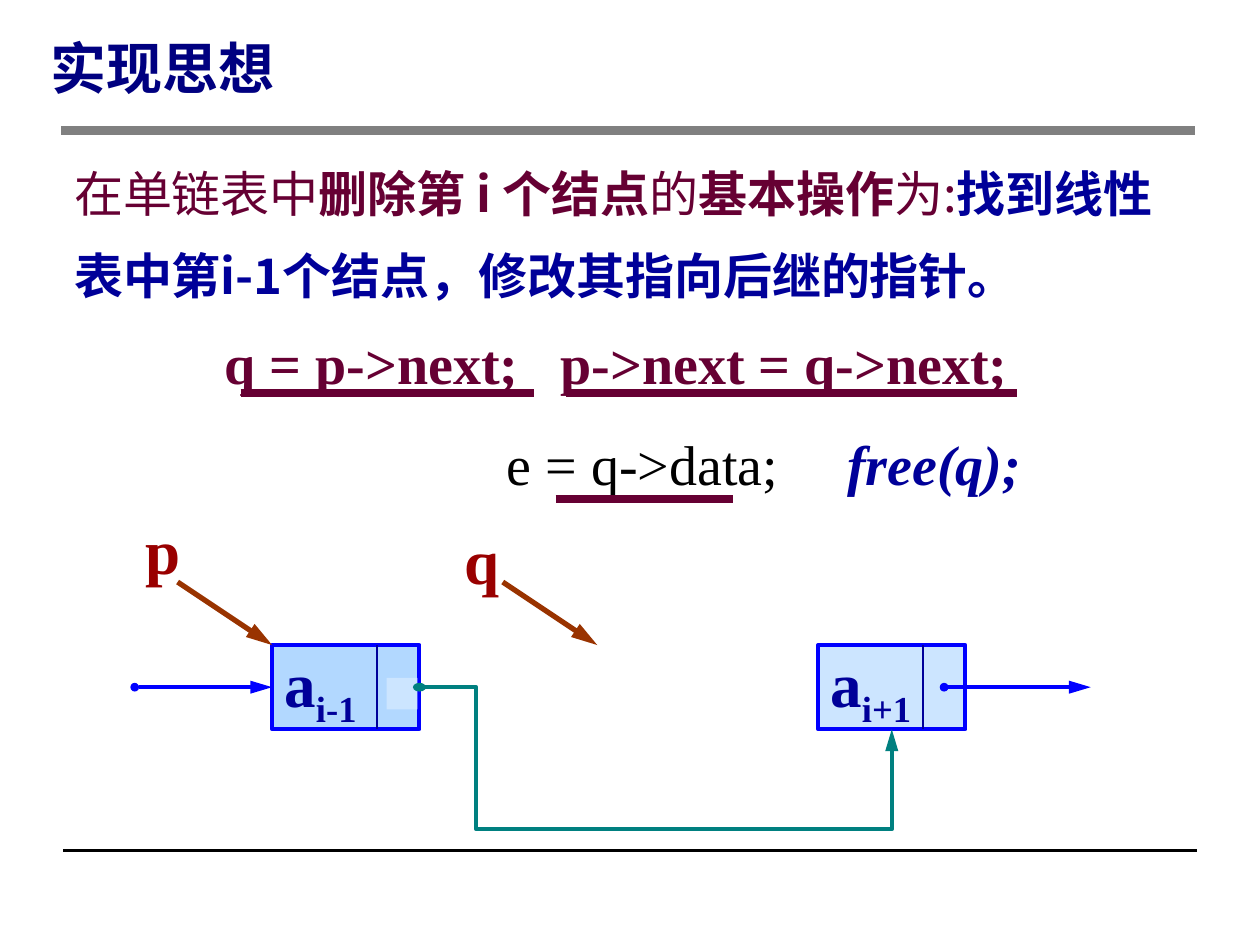
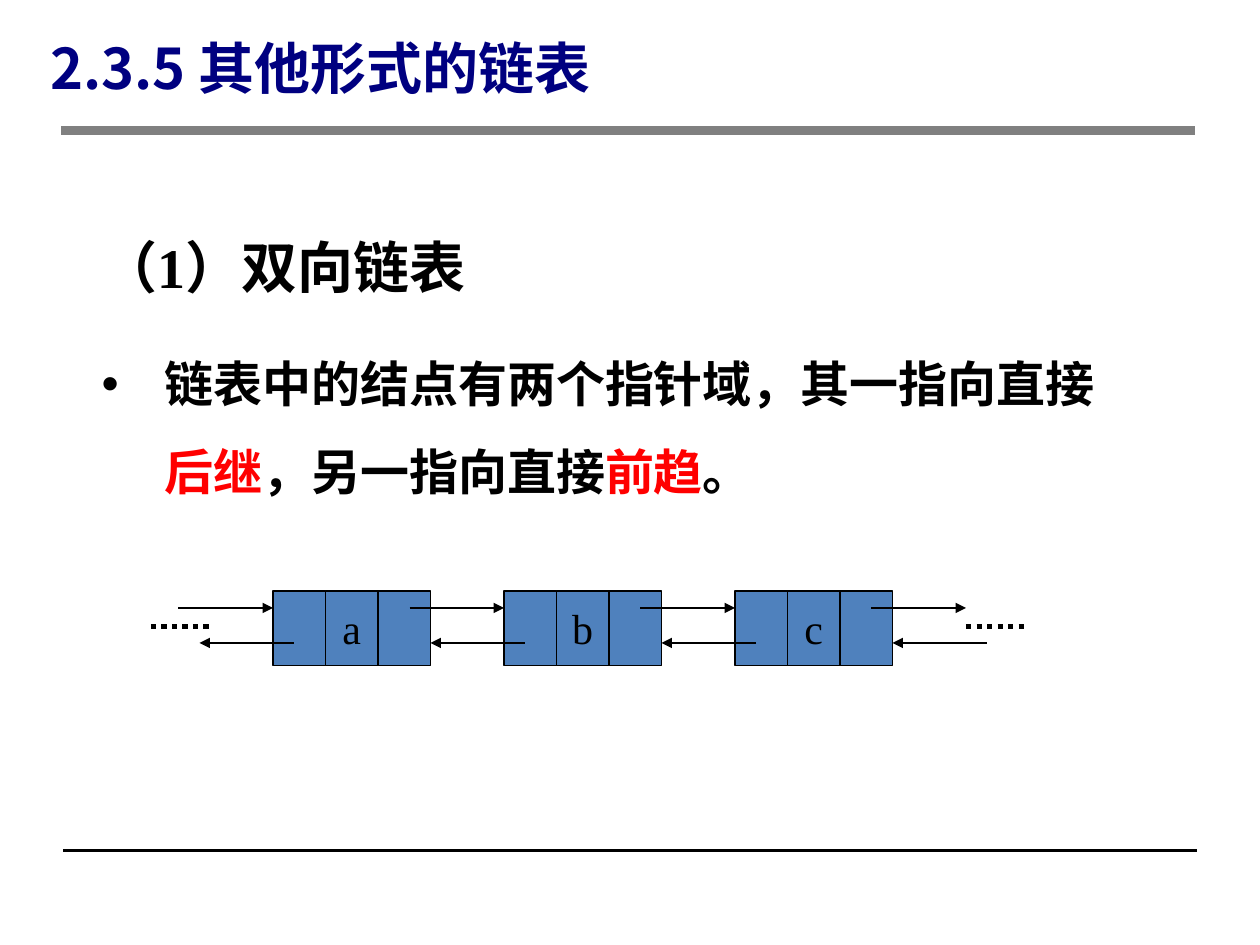
import dataclasses

import pptx
import pptx.dml.color
import pptx.enum.dml
import pptx.enum.shapes
import pptx.enum.text
import pptx.oxml.ns
import pptx.util
from lxml import etree

Pt = pptx.util.Pt
ALIGN = pptx.enum.text.PP_ALIGN
ANCHOR = pptx.enum.text.MSO_ANCHOR
qn = pptx.oxml.ns.qn


@dataclasses.dataclass(frozen=True)
class Theme:
    sans: str = "Noto Sans CJK SC"
    serif: str = "Times New Roman"
    title: str = "000080"
    rule: str = "808080"
    black: str = "000000"
    wine: str = "660033"
    navy: str = "000099"
    red: str = "FF0000"
    pointer: str = "990000"
    pointer_arrow: str = "993300"
    link: str = "0000FF"
    new_link: str = "008080"
    node: str = "B2D8FF"
    node_pale: str = "CCE5FF"
    cell: str = "4F81BD"
    body_size: int = 28
    head_size: int = 32
    node_size: int = 36
    cell_size: int = 24


T = Theme()

# Text: each paragraph is a list of (words, changes to the base style)
DELETE_TITLE = "实现思想"
DELETE_IDEA = [
    ("在单链表中", {}),
    ("删除第 i 个结点", {"bold": True}),
    ("的", {}),
    ("基本操作", {"bold": True}),
    ("为:", {}),
    ("找到线性表中第i-1个结点，修改其指向后继的指针。", {"bold": True, "color": T.navy}),
]
RELINK_CODE = [("q = p->next;\tp->next = q->next;", {"bold": True, "color": T.wine})]
FREE_CODE = [
    ("\te = q->data;\t", {}),
    ("free(q);", {"bold": True, "italic": True, "color": T.navy}),
]
CODE_TABS = ([192], [161.3, 355.8])
CODE_UNDERLINES = [(137.5, 305.3, 224.8), (323.3, 581, 224.8), (317.5, 419, 285)]
POINTERS = [("p", 76.3, 288.7, 101.5), ("q", 258.5, 294.5, 287.3)]
LIST_NODES = [("i-1", 155.5, T.node), ("i+1", 467.5, T.node_pale)]

DOUBLE_TITLE = "2.3.5 其他形式的链表"
DOUBLE_HEADING = [("（1）双向链表", {"size": T.head_size})]
DOUBLE_POINT = [
    ("链表中的结点有两个指针域，其一指向直接", {}),
    ("后继", {"color": T.red}),
    ("，另一指向直接", {}),
    ("前趋", {"color": T.red}),
    ("。", {}),
]
DOUBLE_NODES = ["a", "b", "c"]


def rgb(value):
    return pptx.dml.color.RGBColor.from_string(value)


def add_runs(paragraph, runs, **base):
    for words, changes in runs:
        style = {**base, **changes}
        run = paragraph.add_run()
        run.text = words
        font = run.font
        font.size = Pt(style["size"])
        font.bold = style.get("bold", False)
        font.italic = style.get("italic", False)
        font.color.rgb = rgb(style["color"])
        font.name = style.get("face", T.serif)
        props = run._r.get_or_add_rPr()
        etree.SubElement(props, qn("a:ea"), typeface=T.sans)
        if "baseline" in style:
            props.set("baseline", str(style["baseline"]))


def add_text(slide, left, top, width, height, anchor=ANCHOR.TOP):
    frame = slide.shapes.add_textbox(Pt(left), Pt(top), Pt(width), Pt(height)).text_frame
    frame.word_wrap = True
    frame.vertical_anchor = anchor
    return frame


def line_pitch(size, factor):
    return Pt(round(size * 1.2 * factor, 1))


def add_tabs(paragraph, stops):
    tabs = etree.SubElement(paragraph._p.get_or_add_pPr(), qn("a:tabLst"))
    for stop in stops:
        etree.SubElement(tabs, qn("a:tab"), pos=str(Pt(stop)), algn="l")


def add_bullet(paragraph, hang):
    props = paragraph._p.get_or_add_pPr()
    props.set("marL", str(Pt(hang)))
    props.set("indent", str(-Pt(hang)))
    etree.SubElement(props, qn("a:buFont"), typeface="Arial")
    etree.SubElement(props, qn("a:buChar"), char="•")


def add_box(slide, left, top, width, height, fill, outline=None, weight=0.75):
    box = slide.shapes.add_shape(
        pptx.enum.shapes.MSO_SHAPE.RECTANGLE, Pt(left), Pt(top), Pt(width), Pt(height)
    )
    box.shadow.inherit = False
    box.fill.solid()
    box.fill.fore_color.rgb = rgb(fill)
    if outline:
        box.line.color.rgb = rgb(outline)
        box.line.width = Pt(weight)
    else:
        box.line.fill.background()
    box.text_frame.vertical_anchor = ANCHOR.MIDDLE
    return box


def add_line(slide, start, end, color, weight, head=None, tail=None, dash=None, elbow=False):
    """Draw a line; head and tail are (type, width, length) of the line ends."""
    kinds = pptx.enum.shapes.MSO_CONNECTOR
    line = slide.shapes.add_connector(
        kinds.ELBOW if elbow else kinds.STRAIGHT, *map(Pt, start), *map(Pt, end)
    )
    line.line.color.rgb = rgb(color)
    line.line.width = Pt(weight)
    if dash:
        line.line.dash_style = dash
    outline = line.line._get_or_add_ln()
    for tag, mark in (("a:headEnd", head), ("a:tailEnd", tail)):
        if mark:
            etree.SubElement(outline, qn(tag), type=mark[0], w=mark[1], len=mark[2])
    etree.SubElement(line._element.spPr, qn("a:effectLst"))
    return line


LONG_ARROW = ("triangle", "med", "lg")
ARROW = ("triangle", "med", "med")
DOT = ("oval", "sm", "sm")
WIDE_DOT = ("oval", "sm", "med")


def add_frame(deck, title):
    """Add a slide with the shared rules and title."""
    slide = deck.slides.add_slide(deck.slide_layouts[6])
    add_line(slide, (36, 486), (684, 486), T.black, 2)
    add_line(slide, (35, 74.8), (683, 74.8), T.rule, 5)
    heading = add_text(slide, 21.6, 13, 612, 49, ANCHOR.MIDDLE).paragraphs[0]
    heading.line_spacing = Pt(40)
    add_runs(heading, [(title, {})], size=T.head_size, bold=True, color=T.title, face=T.sans)
    return slide


def add_link(slide, start_x, end_x, y):
    add_line(slide, (start_x, y), (end_x, y), T.link, 2.5, DOT, LONG_ARROW)


def bend(connector, start, end, bend_x, bend_y):
    """Route the connector right to bend_x, along bend_y, then into its end."""
    geometry = connector._element.spPr.find(qn("a:prstGeom"))
    geometry.set("prst", "bentConnector4")
    guides = geometry.get_or_add_avLst()
    ratios = ((bend_x - start[0]) / (end[0] - start[0]), (bend_y - start[1]) / (end[1] - start[1]))
    for number, ratio in enumerate(ratios, 1):
        etree.SubElement(
            guides, qn("a:gd"), name=f"adj{number}", fmla=f"val {round(ratio * 100000)}"
        )


def build_delete(deck):
    slide = add_frame(deck, DELETE_TITLE)
    idea = add_text(slide, 35.3, 76.3, 649.4, 102).paragraphs[0]
    idea.line_spacing = line_pitch(T.body_size, 1.4)
    add_runs(idea, DELETE_IDEA, size=T.body_size, color=T.wine, face=T.sans)

    top, width, height, data_width = 368.6, 84.2, 48.2, 60
    middle = top + height / 2
    nodes = []
    for subscript, left, fill in LIST_NODES:
        node = add_box(slide, left, top, width, height, fill, T.link, 2.25)
        node.text_frame.word_wrap = True
        label = node.text_frame.paragraphs[0]
        label.alignment = ALIGN.LEFT
        add_runs(label, [("a", {}), (subscript, {"baseline": -25000})],
                 size=T.node_size, bold=True, color=T.navy)
        divider = left + data_width
        add_line(slide, (divider, top), (divider, top + height), T.navy, 0.75)
        nodes.append(node)
    before, after = (left for _, left, _ in LIST_NODES)
    add_box(slide, 221, 387.4, 17.5, 18, T.node_pale)
    add_link(slide, 77, before, middle)
    add_link(slide, after + 72, 623.3, middle)

    start, end = (before + width, middle), (after + width / 2, top + height)
    bypass = add_line(slide, start, end, T.new_link, 2.5, WIDE_DOT, LONG_ARROW, elbow=True)
    bypass.begin_connect(nodes[0], 3)
    bypass.end_connect(nodes[1], 2)
    bend(bypass, start, end, 272.2, 473.8)

    code = add_text(slide, 121.2, 164.9, 478, 122.4)
    for row, (statements, stops) in enumerate(zip((RELINK_CODE, FREE_CODE), CODE_TABS)):
        paragraph = code.add_paragraph() if row else code.paragraphs[0]
        paragraph.line_spacing = line_pitch(T.head_size, 1.5)
        add_tabs(paragraph, stops)
        add_runs(paragraph, statements, size=T.head_size, color=T.black)
    for left, right, y in CODE_UNDERLINES:
        add_line(slide, (left, y), (right, y), T.wine, 4.5)

    for name, left, label_top, arrow_x in POINTERS:
        add_line(slide, (arrow_x, 332.6), (arrow_x + 54, top), T.pointer_arrow, 3, tail=LONG_ARROW)
        label = add_text(slide, left, label_top, 34.8, 50.4).paragraphs[0]
        add_runs(label, [(name, {})], size=T.node_size, bold=True, color=T.pointer)


def build_double(deck):
    slide = add_frame(deck, DOUBLE_TITLE)
    body = add_text(slide, 51, 110.2, 594, 184.3)
    heading = body.paragraphs[0]
    heading.line_spacing = line_pitch(T.head_size, 1.5)
    add_runs(heading, DOUBLE_HEADING, bold=True, color=T.black)
    point = body.add_paragraph()
    point.line_spacing = line_pitch(T.body_size, 1.5)
    point.space_before = Pt(T.body_size / 2)
    add_bullet(point, 36)
    add_runs(point, DOUBLE_POINT, size=T.body_size, bold=True, color=T.black)

    first, pitch, cell, top, height = 156, 132, 30, 337.7, 42.5
    for index, name in enumerate(DOUBLE_NODES):
        for part, words in enumerate(("", name, "")):
            box = add_box(slide, first + index * pitch + part * cell, top, cell, height,
                          T.cell, T.black)
            if words:
                box.text_frame.word_wrap = False
                label = box.text_frame.paragraphs[0]
                label.alignment = ALIGN.CENTER
                add_runs(label, [(words, {})], size=T.cell_size, color=T.black)
    for index in range(len(DOUBLE_NODES) + 1):
        edge = first + index * pitch
        add_line(slide, (edge - 54, 347.4), (edge, 347.4), T.black, 0.75, tail=ARROW)
        add_line(slide, (edge + 12, 367.4), (edge - 42, 367.4), T.black, 0.75, tail=ARROW)
    for left in (86.2, 552):
        add_line(slide, (left, 357.8), (left + 36, 357.8), T.black, 3,
                 dash=pptx.enum.dml.MSO_LINE.ROUND_DOT)


def main():
    deck = pptx.Presentation()
    deck.slide_width, deck.slide_height = Pt(720), Pt(540)
    build_delete(deck)
    build_double(deck)
    deck.save("out.pptx")


if __name__ == "__main__":
    main()
